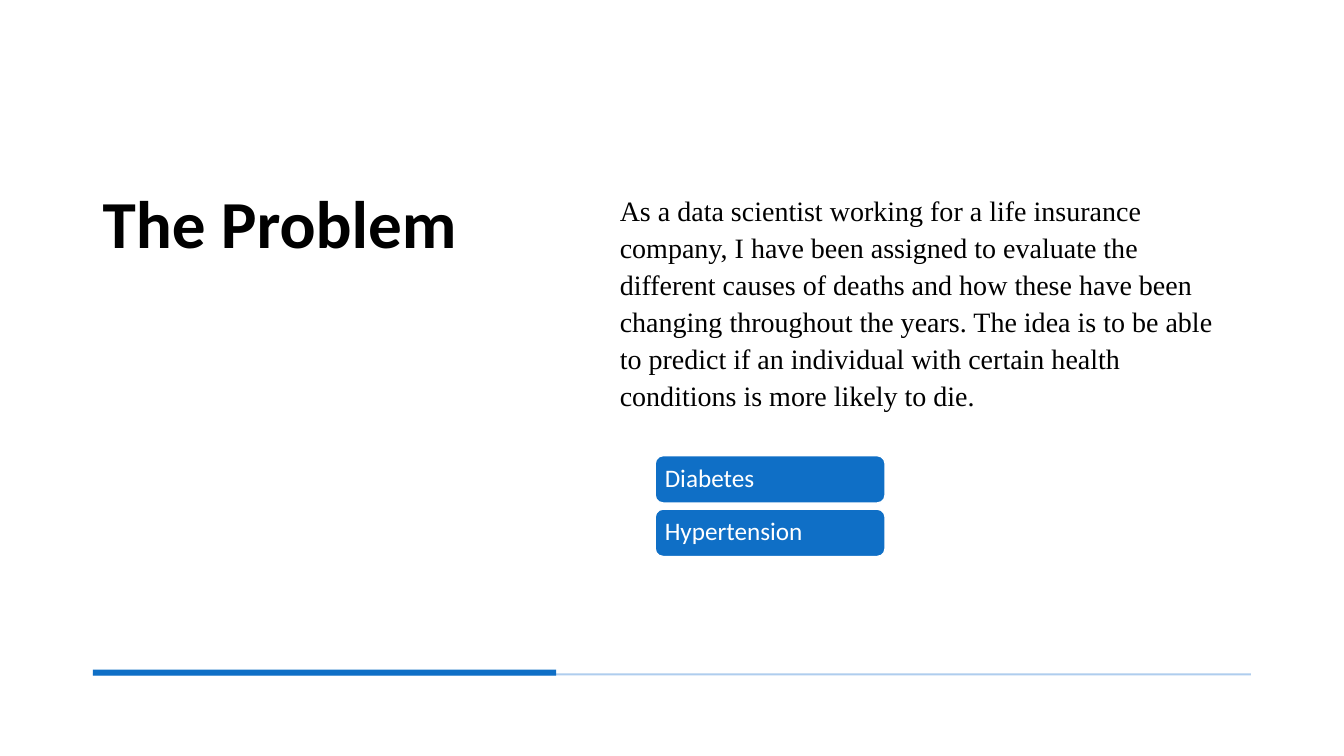
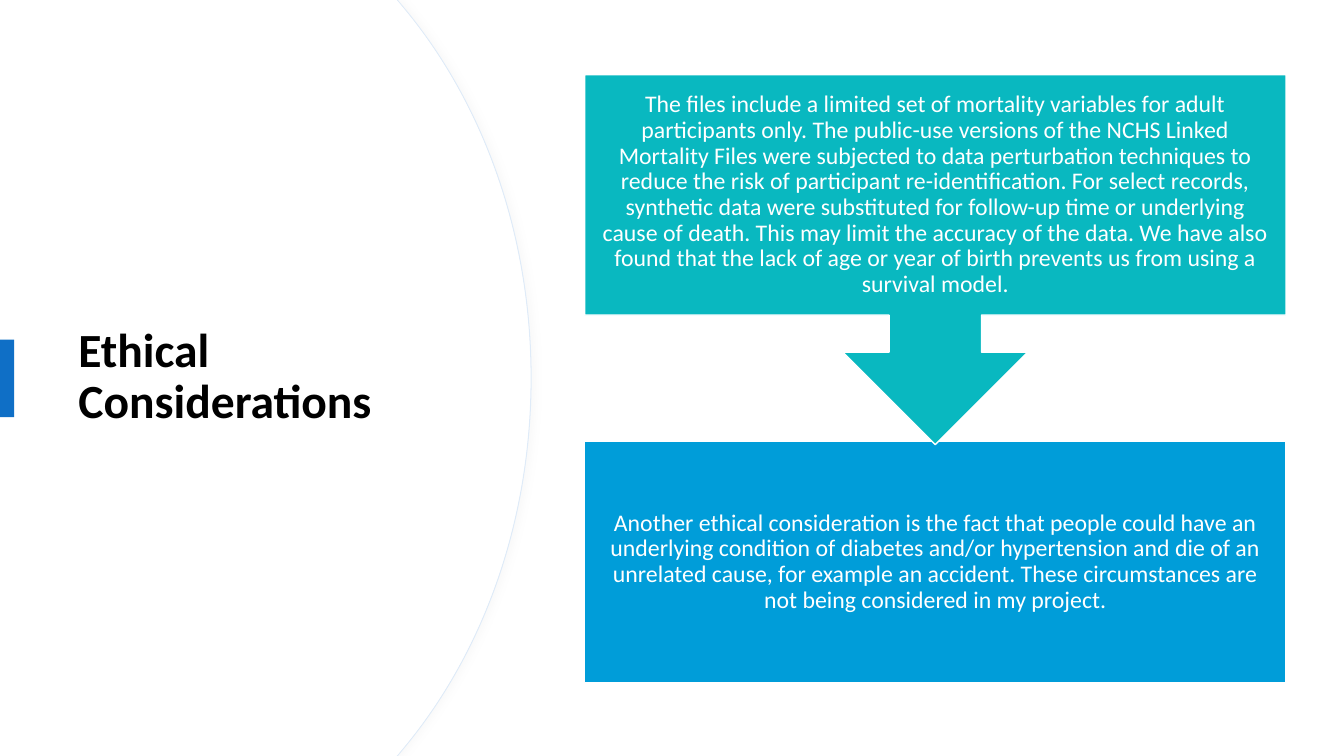
import pptx
import pptx.dml.color
import pptx.enum.shapes
import pptx.enum.text
import pptx.oxml
import pptx.oxml.ns
import pptx.util

Pt = pptx.util.Pt
Kind = pptx.enum.shapes.MSO_SHAPE
Align = pptx.enum.text.PP_ALIGN
Anchor = pptx.enum.text.MSO_ANCHOR

WHITE, BLACK, BLUE = "FFFFFF", "000000", "0F6FC6"
PALE, EDGE, GRAY = "AFCDEE", "DFEBF8", "D9D9D9"
TEAL, SKY = "09B8C0", "009DD9"
SANS, SERIF = "Calibri", "Times New Roman"


def tint(hue):
    """Turn a hex string into a colour."""
    return pptx.dml.color.RGBColor.from_string(hue)


def paint(shape, fill, line=None, width=1):
    """Set the fill and outline of a shape and drop its shadow."""
    shape.shadow.inherit = False
    shape.fill.solid()
    shape.fill.fore_color.rgb = tint(fill)
    if line:
        shape.line.color.rgb = tint(line)
        shape.line.width = Pt(width)
    else:
        shape.line.fill.background()


def block(slide, box, fill, line=None, kind=Kind.RECTANGLE):
    """Add a filled preset shape."""
    shape = slide.shapes.add_shape(kind, *map(Pt, box))
    paint(shape, fill, line)
    return shape


def write(shape, text, size, hue=WHITE, face=SANS, bold=False, lead=0.9,
          align=Align.LEFT, anchor=Anchor.MIDDLE, inset=None, before=0):
    """Put one styled paragraph into a shape."""
    frame = shape.text_frame
    frame.word_wrap = True
    frame.vertical_anchor = anchor
    if inset is not None:
        frame.margin_left = frame.margin_right = Pt(inset)
        frame.margin_top = frame.margin_bottom = Pt(inset)
    par = frame.paragraphs[0]
    par.text = text
    par.alignment = align
    par.line_spacing = lead
    par.space_before = Pt(before)
    par.font.size = Pt(size)
    par.font.name = face
    par.font.bold = bold
    par.font.color.rgb = tint(hue)


def title(slide, box, text, size, anchor):
    """Add a bold slide title."""
    label = slide.shapes.add_textbox(*map(Pt, box))
    write(label, text, size, BLACK, bold=True, anchor=anchor)


def rule(slide, box):
    """Draw a thin line whose first two fifths are thick."""
    x, y, w, h = box
    block(slide, (x, y + 2.6, w, 1.4), PALE)
    block(slide, (x, y, w * 0.4, h), BLUE)


def pills(slide, box, names, gap):
    """Stack rounded labels evenly in a box."""
    x, y, w, h = box
    high = (h - gap * (len(names) - 1)) / len(names)
    for row, name in enumerate(names):
        place = (x, y + row * (high + gap), w, high)
        pill = block(slide, place, BLUE, WHITE, Kind.ROUNDED_RECTANGLE)
        write(pill, name, 18, inset=5.2)


def bend(shape, start):
    """Turn six straight segments, from a given index, into two curves."""
    qn = pptx.oxml.ns.qn
    lines = list(shape.element.iter(qn("a:lnTo")))[start:start + 6]
    for first in (0, 3):
        curve = pptx.oxml.parse_xml(f'<a:cubicBezTo {pptx.oxml.ns.nsdecls("a")}/>')
        lines[first].addprevious(curve)
        for line in lines[first:first + 3]:
            curve.append(line[0])
            line.getparent().remove(line)


def glow(shape):
    """Give a shape a faint shadow to its right."""
    effects = shape.element.spPr.find(pptx.oxml.ns.qn("a:effectLst"))
    effects.append(pptx.oxml.parse_xml(
        f'<a:outerShdw {pptx.oxml.ns.nsdecls("a")} blurRad="{Pt(4)}" '
        f'dist="{Pt(3)}" dir="0" algn="t" rotWithShape="0">'
        f'<a:srgbClr val="{GRAY}"><a:alpha val="12000"/></a:srgbClr></a:outerShdw>'))


def panel(slide, box, line=None):
    """Draw a white panel with a bulging right edge."""
    x, y, w, h = box
    upper = [(0.748, 0), (0.761, 0.011), (0.909, 0.136), (1, 0.309)]
    lower = [(u, 1 - v) for u, v in reversed(upper)]
    spots = [(Pt(x + u * w), Pt(y + v * h))
             for u, v in upper + [(1, 0.5)] + lower + [(0, 1)]]
    draw = slide.shapes.build_freeform(Pt(x), Pt(y))
    draw.add_line_segments(spots, close=True)
    shape = draw.convert_to_shape()
    bend(shape, 2)
    paint(shape, WHITE, line, 0.75)
    if line:
        glow(shape)


def flow(slide, box, first, last):
    """Stack a box with a down arrow above a second box."""
    x, y, w, h = box
    low, call = h * 0.3965, h * 0.6087
    parts = (
        ((x, y + h - low, w, low), SKY, Kind.RECTANGLE, last),
        ((x, y, w, call), TEAL, Kind.DOWN_ARROW_CALLOUT, first),
    )
    for place, fill, kind, text in parts:
        shape = block(slide, place, fill, WHITE, kind)
        write(shape, text, 17, align=Align.CENTER, inset=9.4)


def problem(slide, box):
    """Build the problem slide."""
    x, y, w, h = box
    title(slide, (x + 66.2, y + 132.5, 320.4, 327), "The Problem", 48, Anchor.TOP)
    body = slide.shapes.add_textbox(*map(Pt, (x + 435.6, y + 132.5, 458, 177)))
    write(body, "As a data scientist working for a life insurance company, I have been "
          "assigned to evaluate the different causes of deaths and how these have been "
          "changing throughout the years. The idea is to be able to predict if an "
          "individual with certain health conditions is more likely to die.",
          20, BLACK, SERIF, lead=1.1, anchor=Anchor.TOP, before=10)
    rule(slide, (x + 66.4, y + 478.4, w - 132.8, 4.3))
    pills(slide, (x + 468, y + 325.5, 164.2, 72), ["Diabetes", "Hypertension"], 4.4)


def ethics(slide, box):
    """Build the ethics slide."""
    x, y, w, h = box
    panel(slide, (x, y, 379.4, h), EDGE)
    panel(slide, (x, y, 378.7, h))
    title(slide, (x + 49, y + 91.4, 283.7, 356.4), "Ethical Considerations", 34, Anchor.MIDDLE)
    block(slide, (x, y + 242.6, 10.1, 55.4), BLUE)
    flow(slide, (x + 417.6, y + 53.4, 501, 434),
         "The files include a limited set of mortality variables for adult participants "
         "only. The public-use versions of the NCHS Linked Mortality Files were subjected "
         "to data perturbation techniques to reduce the risk of participant "
         "re-identification. For select records, synthetic data were substituted for "
         "follow-up time or underlying cause of death. This may limit the accuracy of the "
         "data. We have also found that the lack of age or year of birth prevents us from "
         "using a survival model.",
         "Another ethical consideration is the fact that people could have an underlying "
         "condition of diabetes and/or hypertension and die of an unrelated cause, for "
         "example an accident. These circumstances are not being considered in my project.")


def main():
    """Build and save the deck."""
    deck = pptx.Presentation()
    deck.slide_width, deck.slide_height = Pt(960), Pt(540)
    for build in (problem, ethics):
        build(deck.slides.add_slide(deck.slide_layouts[6]), (0, 0, 960, 540))
    deck.save("out.pptx")


if __name__ == "__main__":
    main()
